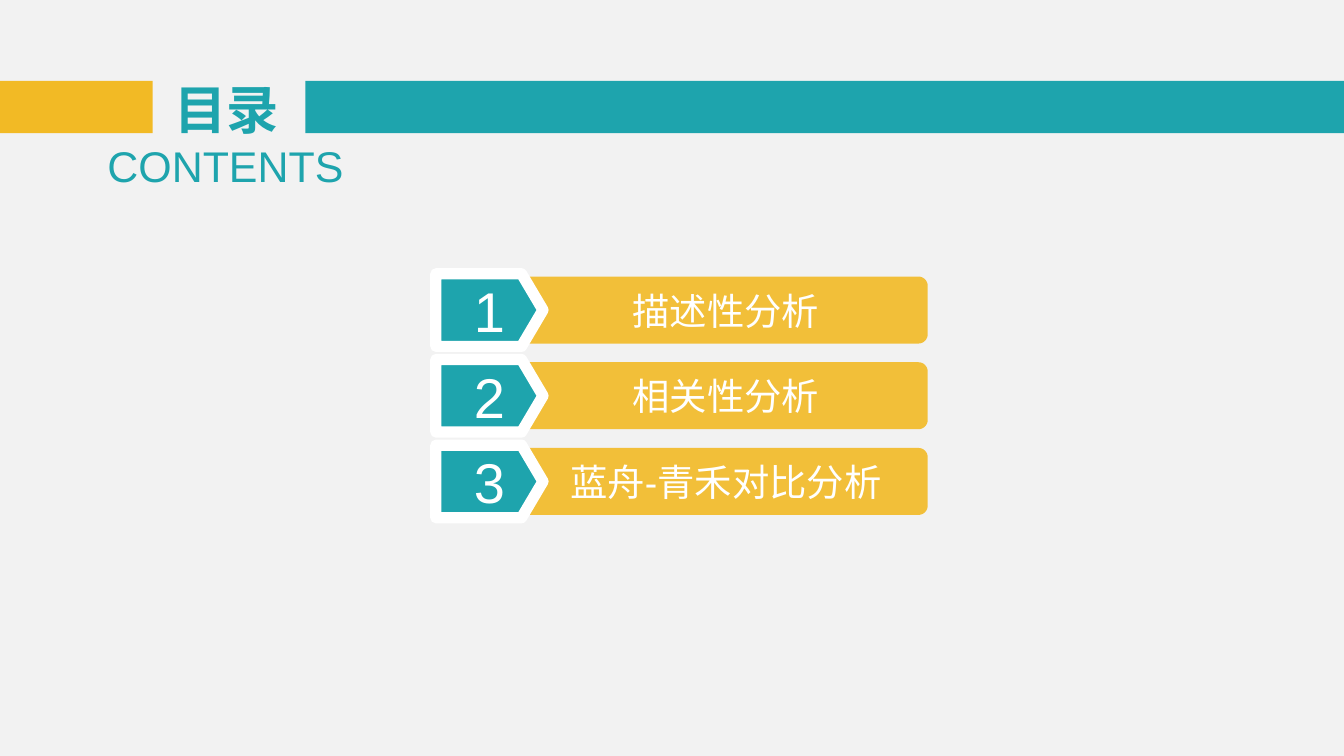
"""Build a contents slide with a banner title and three numbered entries."""
from dataclasses import dataclass
from math import cos, pi, sin

from lxml import etree
from pptx import Presentation
from pptx.dml.color import RGBColor
from pptx.enum import shapes, text
from pptx.oxml.ns import qn
from pptx.util import Pt


@dataclass(frozen=True)
class Theme:
    """Colours, font and type sizes."""
    back: str = "F2F2F2"
    teal: str = "1EA4AD"
    gold: str = "F2BA25"
    white: str = "FFFFFF"
    font: str = "Arial"
    head: int = 28
    sub: int = 23
    item: int = 20
    num: int = 30


THEME = Theme()
ITEMS = ["描述性分析", "相关性分析", "蓝舟-青禾对比分析"]


def paint(shape, fill):
    """Give a shape a plain fill without line or shadow."""
    shape.shadow.inherit = False
    shape.fill.solid()
    shape.fill.fore_color.rgb = RGBColor.from_string(fill)
    shape.line.fill.background()


def write(shape, words, size, color, bold=False, anchor=text.MSO_ANCHOR.MIDDLE):
    """Put one centred run into a shape with no margins."""
    frame = shape.text_frame
    frame.word_wrap = True
    frame.vertical_anchor = anchor
    frame.margin_left = frame.margin_right = 0
    frame.margin_top = frame.margin_bottom = 0
    para = frame.paragraphs[0]
    para.alignment = text.PP_ALIGN.CENTER
    run = para.add_run()
    run.text = words
    run.font.name = THEME.font
    run.font.size = Pt(size)
    run.font.bold = bold
    run.font.color.rgb = RGBColor.from_string(color)


def outline(slide, points):
    """Draw a closed polygon through points."""
    first, *rest = [(Pt(x), Pt(y)) for x, y in points]
    pen = slide.shapes.build_freeform(*first)
    pen.add_line_segments(rest, close=True)
    return pen.convert_to_shape()


def add_bar(slide, x, y, w, h, words):
    """Add a translucent label bar with rounded right corners."""
    rad, steps = 5, 8
    turns = [i * pi / 2 / steps for i in range(steps + 1)]
    right = x + w - rad
    top = [(right + rad * sin(t), y + rad - rad * cos(t)) for t in turns]
    base = [(right + rad * cos(t), y + h - rad + rad * sin(t)) for t in turns]
    bar = outline(slide, [(x, y), *top, *base, (x, y + h)])
    paint(bar, THEME.gold)
    tint = bar.element.spPr.find(qn("a:solidFill"))[0]
    etree.SubElement(tint, qn("a:alpha"), val="90000")
    write(bar, words, THEME.item, THEME.white)


def add_tag(slide, x, y, w, h, words):
    """Add a pointed number tag with a thick white border."""
    neck = x + w - 11.5
    tag = outline(slide, [(x, y), (neck, y), (x + w, y + h / 2),
                          (neck, y + h), (x, y + h)])
    paint(tag, THEME.teal)
    tag.line.color.rgb = RGBColor.from_string(THEME.white)
    tag.line.width = Pt(6)
    etree.SubElement(tag.element.spPr.find(qn("a:ln")), qn("a:round"))
    write(tag, words, THEME.num, THEME.white)


def add_list(slide, x, y, w, pitch, items):
    """Stack the numbered entries at an even pitch."""
    high, inset, start = 38.9, 1.5, 47.3
    for i, words in enumerate(items):
        top = y + i * pitch
        add_bar(slide, x + start, top + inset, w - start, high - 2 * inset, words)
        add_tag(slide, x, top, 57.4, high, str(i + 1))


def add_head(slide, x, y, w, h):
    """Add the banner stripes with the title between and subtitle below."""
    left, gap = 81.8, 81.8
    start = left + gap
    for dx, wide, fill in [(0, left, THEME.gold), (start, w - start, THEME.teal)]:
        stripe = slide.shapes.add_shape(shapes.MSO_SHAPE.RECTANGLE,
                                        Pt(x + dx), Pt(y), Pt(wide), Pt(h))
        paint(stripe, fill)
    title = slide.shapes.add_textbox(Pt(x + 89.3), Pt(y - 2.3), Pt(64), Pt(34.5))
    write(title, "目录", THEME.head, THEME.teal, bold=True)
    sub = slide.shapes.add_textbox(Pt(x + 48.2), Pt(y + 31.6), Pt(145.4), Pt(28))
    write(sub, "CONTENTS", THEME.sub, THEME.teal, anchor=text.MSO_ANCHOR.TOP)


def main():
    """Build and save the slide."""
    deck = Presentation()
    deck.slide_width, deck.slide_height = Pt(720), Pt(405)
    slide = deck.slides.add_slide(deck.slide_layouts[6])
    slide.background.fill.solid()
    slide.background.fill.fore_color.rgb = RGBColor.from_string(THEME.back)
    add_list(slide, 233.5, 146.7, 263.5, 45.9, ITEMS)
    add_head(slide, 0, 43.3, 720, 28)
    deck.save("out.pptx")


if __name__ == "__main__":
    main()
